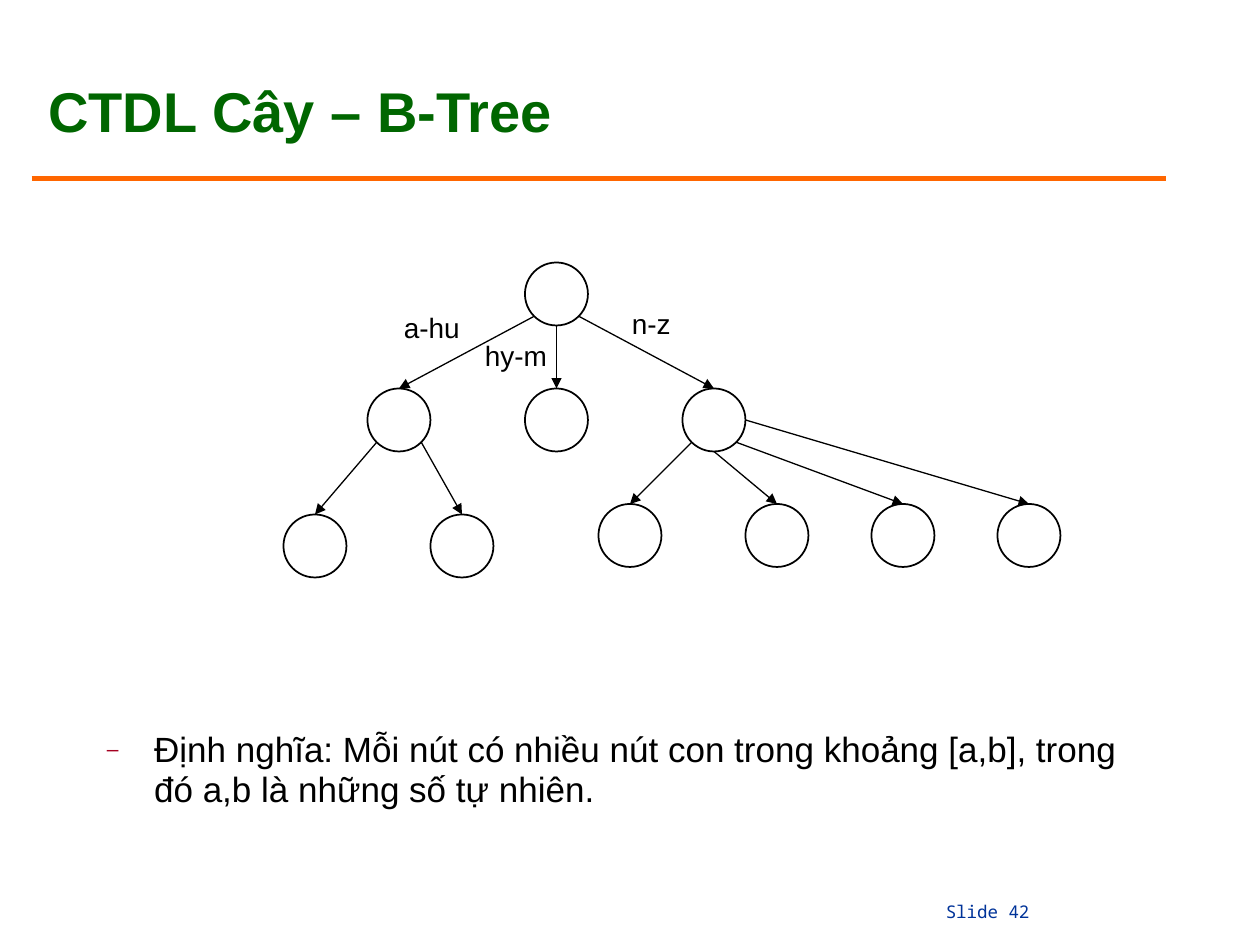
import math

from lxml import etree
from pptx import Presentation
from pptx.dml.color import RGBColor
from pptx.enum.shapes import MSO_CONNECTOR, MSO_SHAPE
from pptx.enum.text import MSO_ANCHOR, PP_ALIGN
from pptx.oxml.ns import qn
from pptx.util import Pt

LINE, OVAL = MSO_CONNECTOR.STRAIGHT, MSO_SHAPE.OVAL
LEFT, TOP, MIDDLE = PP_ALIGN.LEFT, MSO_ANCHOR.TOP, MSO_ANCHOR.MIDDLE
BLACK = RGBColor(0, 0, 0)
GREEN = RGBColor(0, 0x66, 0)
ORANGE = RGBColor(0xFF, 0x66, 0)
BLUE = RGBColor(0, 0x33, 0x99)

# Content
TITLE = "CTDL Cây – B-Tree"
NOTE = ("Định nghĩa: Mỗi nút có nhiều nút con trong khoảng [a,b], "
        "trong đó a,b là những số tự nhiên.")
FOOT = "\tSlide 42"
SIZE = 36  # node diameter
NODES = {  # name: left, top
    "root": (300, 150),
    "west": (210, 222), "mid": (300, 222), "east": (390, 222),
    "w1": (162, 294), "w2": (246, 294),
    "e1": (342, 288), "e2": (426, 288), "e3": (498, 288), "e4": (570, 288),
}
EDGES = [  # parent, child, angle at which the arrow leaves (90 is down)
    ("root", "west", 135), ("root", "mid", 90), ("root", "east", 45),
    ("west", "w1", 135), ("west", "w2", 45),
    ("east", "e1", 135), ("east", "e2", 90),
    ("east", "e3", 45), ("east", "e4", 0),
]
LABELS = [("a-hu", 223.75, 174, 50), ("hy-m", 270, 189.75, 52),
          ("n-z", 354, 171.5, 40)]  # text, left, top, width


def add_tag(parent, name, **attrs):
    return etree.SubElement(parent, qn(name), attrs)


def write(shape, text, size, color, font="Arial", bold=False,
          pad=(7.2, 3.6), wrap=True, anchor=TOP):
    frame = shape.text_frame
    frame.text = text
    frame.word_wrap = wrap
    frame.vertical_anchor = anchor
    frame.margin_left = frame.margin_right = Pt(pad[0])
    frame.margin_top = frame.margin_bottom = Pt(pad[1])
    para = frame.paragraphs[0]
    para.alignment = LEFT
    face = para.runs[0].font
    face.name, face.size, face.bold = font, Pt(size), bold
    face.color.rgb = color
    return para


def add_box(slide, x, y, w, h):
    return slide.shapes.add_textbox(Pt(x), Pt(y), Pt(w), Pt(h))


def add_line(slide, x1, y1, x2, y2, color, width):
    line = slide.shapes.add_connector(LINE, Pt(x1), Pt(y1), Pt(x2), Pt(y2))
    line.line.color.rgb = color
    line.line.width = Pt(width)
    add_tag(line._element.spPr, "a:effectLst")
    return line


def add_node(slide, x, y):
    node = slide.shapes.add_shape(OVAL, Pt(x), Pt(y), Pt(SIZE), Pt(SIZE))
    node.shadow.inherit = False
    node.fill.background()
    node.line.color.rgb = BLACK
    node.line.width = Pt(1)
    return node


def main():
    deck = Presentation()
    deck.slide_width, deck.slide_height = Pt(720), Pt(540)
    slide = deck.slides.add_slide(deck.slide_layouts[5])

    # Title and rule
    title = slide.shapes.title
    title.left, title.top = Pt(24), Pt(48)
    title.width, title.height = Pt(642), Pt(34.5)
    para = write(title, TITLE, 32, GREEN, bold=True, pad=(3.6, 0),
                 anchor=MIDDLE)
    para.line_spacing = 0.9
    add_line(slide, 18, 102, 666, 102, ORANGE, 3)

    # Tree
    nodes = {name: add_node(slide, *spot) for name, spot in NODES.items()}
    half = SIZE / 2
    for parent, child, angle in EDGES:
        x, y = NODES[parent]
        turn = math.radians(angle)
        end_x, end_y = NODES[child]
        edge = add_line(slide, x + half + half * math.cos(turn),
                        y + half + half * math.sin(turn),
                        end_x + half, end_y, BLACK, 0.75)
        edge.end_connect(nodes[child], 0)
        add_tag(edge.line._get_or_add_ln(), "a:tailEnd", type="triangle")
    for text, x, y, width in LABELS:
        write(add_box(slide, x, y, width, 26.5), text, 16, BLACK)

    # Definition
    para = write(add_box(slide, 54, 414, 612, 108), NOTE, 20, BLACK)
    para.level = 1
    para.line_spacing = 0.95
    props = para._p.get_or_add_pPr()
    props.set("marL", str(Pt(27)))
    props.set("indent", str(-Pt(27)))
    add_tag(add_tag(props, "a:buClr"), "a:srgbClr", val="A50021")
    add_tag(props, "a:buSzPct", val="60000")
    add_tag(props, "a:buFont", typeface="Arial")
    add_tag(props, "a:buChar", char="–")

    # Slide number, set at a one-inch tab
    para = write(add_box(slide, 462, 515, 258, 13.5), FOOT, 10, BLUE,
                 font="Noto Sans Mono", pad=(6.5, 0))
    tabs = add_tag(para._p.get_or_add_pPr(), "a:tabLst")
    add_tag(tabs, "a:tab", pos=str(Pt(72)), algn="l")

    deck.save("out.pptx")


if __name__ == "__main__":
    main()
